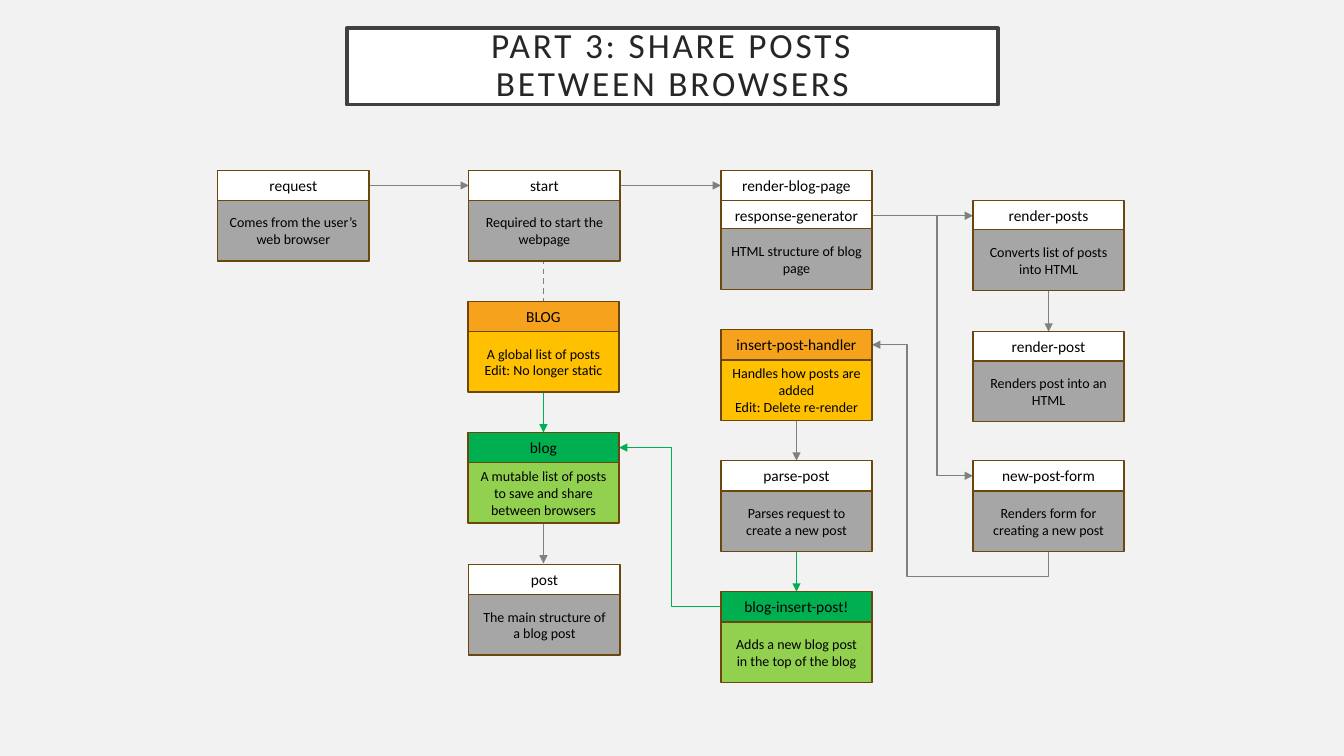
"""Build the slide showing how a blog shares posts between browsers."""
from lxml import etree
from pptx import Presentation
from pptx.dml.color import RGBColor
from pptx.enum.dml import MSO_LINE
from pptx.enum.shapes import MSO_CONNECTOR, MSO_SHAPE
from pptx.enum.text import MSO_ANCHOR, PP_ALIGN
from pptx.oxml.ns import qn
from pptx.util import Inches, Pt

RECT = MSO_SHAPE.RECTANGLE
STRAIGHT = MSO_CONNECTOR.STRAIGHT
ELBOW = MSO_CONNECTOR.ELBOW
DASH = MSO_LINE.DASH
MIDDLE = MSO_ANCHOR.MIDDLE
CENTER = PP_ALIGN.CENTER

THEME = {
    "font": "Calibri", "page": "F2F2F2", "white": "FFFFFF", "frame": "404040",
    "title": "262626", "edge": "6C470D", "text": "000000",
    "gray": "808080", "green": "00B050",
    "plain": ("FFFFFF", "A6A6A6"),
    "edit": ("F6A21D", "FFC000"),
    "new": ("00B050", "92D050"),
    "title size": 25.2, "head size": 11, "body size": 10,
}
WIDTH, HEAD, BODY = 1.5, 0.3, 0.6


def add_box(spot, lines, fill, size, edge=THEME["edge"], weight=1, color=THEME["text"]):
    """Add a bordered rectangle with centred paragraphs."""
    box = slide.shapes.add_shape(RECT, *map(Inches, spot))
    box.shadow.inherit = False
    box.fill.solid()
    box.fill.fore_color.rgb = RGBColor.from_string(fill)
    box.line.color.rgb = RGBColor.from_string(edge)
    box.line.width = Pt(weight)
    frame = box.text_frame
    frame.word_wrap = True
    frame.vertical_anchor = MIDDLE
    frame.text = "\n".join(lines)
    style = {"name": THEME["font"], "size": Pt(size)}
    for para in frame.paragraphs:
        para.alignment = CENTER
        for run in para.runs:
            for key, value in style.items():
                setattr(run.font, key, value)
            run.font.color.rgb = RGBColor.from_string(color)
    return box


def add_link(kind, ends, color, arrow=True):
    """Add a connector, with an arrowhead at its end if asked."""
    link = slide.shapes.add_connector(kind, *map(Inches, ends))
    link.line.color.rgb = RGBColor.from_string(THEME[color])
    link.line.width = Pt(1)
    props = link._element.spPr
    etree.SubElement(props, qn("a:effectLst"))
    if arrow:
        etree.SubElement(props.find(qn("a:ln")), qn("a:tailEnd"), type="triangle")
    return link


deck = Presentation()
deck.slide_width, deck.slide_height = Inches(13.33), Inches(7.5)
slide = deck.slides.add_slide(deck.slide_layouts[6])
slide.background.fill.solid()
slide.background.fill.fore_color.rgb = RGBColor.from_string(THEME["page"])

title = add_box((3.44, 0.28, 6.46, 0.76), ["PART 3: SHARE POSTS\vBETWEEN BROWSERS"],
                THEME["white"], THEME["title size"], THEME["frame"], 2.5, THEME["title"])
for side in ("left", "right", "top", "bottom"):
    setattr(title.text_frame, f"margin_{side}", Inches(0.2))
heading = title.text_frame.paragraphs[0]
heading.line_spacing = 0.9
for run in heading.runs:
    run._r.get_or_add_rPr().set("spc", "200")

links = [
    (3.66, 1.84, 4.65, 1.84, "gray"),
    (6.15, 1.84, 7.15, 1.84, "gray"),
    (8.65, 2.14, 9.65, 2.14, "gray"),
    (10.4, 2.29, 10.4, 3.29, "gray"),
    (7.9, 3.57, 7.9, 4.57, "gray"),
    (7.9, 4.87, 7.9, 5.87, "green"),
    (5.39, 3.29, 5.39, 4.29, "green"),
    (5.39, 4.59, 5.39, 5.59, "gray"),
]
for *ends, color in links:
    add_link(STRAIGHT, ends, color)
global_link = add_link(STRAIGHT, (5.39, 1.99, 5.39, 2.99), "gray", arrow=False)
global_link.line.dash_style = DASH

bends = [
    ((8.65, 2.14, 9.65, 4.72), "gray", "bentConnector3", 0, [64400]),
    ((7.15, 6.02, 6.14, 4.44), "green", "bentConnector3", 0, [48700]),
    ((10.55, 3.57, 8.5, 5.32), "gray", "bentConnector4", 90, [-12200, 80300]),
]
for ends, color, preset, turn, bend in bends:
    props = add_link(ELBOW, ends, color)._element.spPr
    props.find(qn("a:xfrm")).set("rot", str(turn * 60000))
    shape = props.find(qn("a:prstGeom"))
    shape.set("prst", preset)
    guides = shape.find(qn("a:avLst"))
    for index, value in enumerate(bend, 1):
        etree.SubElement(guides, qn("a:gd"), name=f"adj{index}", fmla=f"val {value}")

add_box((7.15, 1.69, WIDTH, HEAD), ["render-blog-page"], THEME["white"], THEME["head size"])
nodes = [
    (2.16, 1.69, 1.99, "plain", "request", ["Comes from the user’s web browser"]),
    (4.65, 1.69, 1.99, "plain", "start", ["Required to start the webpage"]),
    (4.64, 2.99, 3.29, "edit", "BLOG", ["A global list of posts", "Edit: No longer static"]),
    (4.64, 4.29, 4.59, "new", "blog",
     ["A mutable list of posts to save and share between browsers"]),
    (4.65, 5.6, 5.9, "plain", "post", ["The main structure of a blog post"]),
    (7.15, 1.99, 2.27, "plain", "response-generator", ["HTML structure of blog page"]),
    (7.15, 3.27, 3.57, "edit", "insert-post-handler",
     ["Handles how posts are added", "Edit: Delete re-render"]),
    (7.15, 4.57, 4.87, "plain", "parse-post", ["Parses request to create a new post"]),
    (7.15, 5.87, 6.17, "new", "blog-insert-post!",
     ["Adds a new blog post in the top of the blog"]),
    (9.65, 1.99, 2.28, "plain", "render-posts", ["Converts list of posts into HTML"]),
    (9.65, 3.29, 3.58, "plain", "render-post", ["Renders post into an HTML"]),
    (9.65, 4.57, 4.87, "plain", "new-post-form", ["Renders form for creating a new post"]),
]
for left, top, split, kind, name, lines in nodes:
    dark, light = THEME[kind]
    add_box((left, top, WIDTH, HEAD), [name], dark, THEME["head size"])
    add_box((left, split, WIDTH, BODY), lines, light, THEME["body size"])

deck.save("out.pptx")
